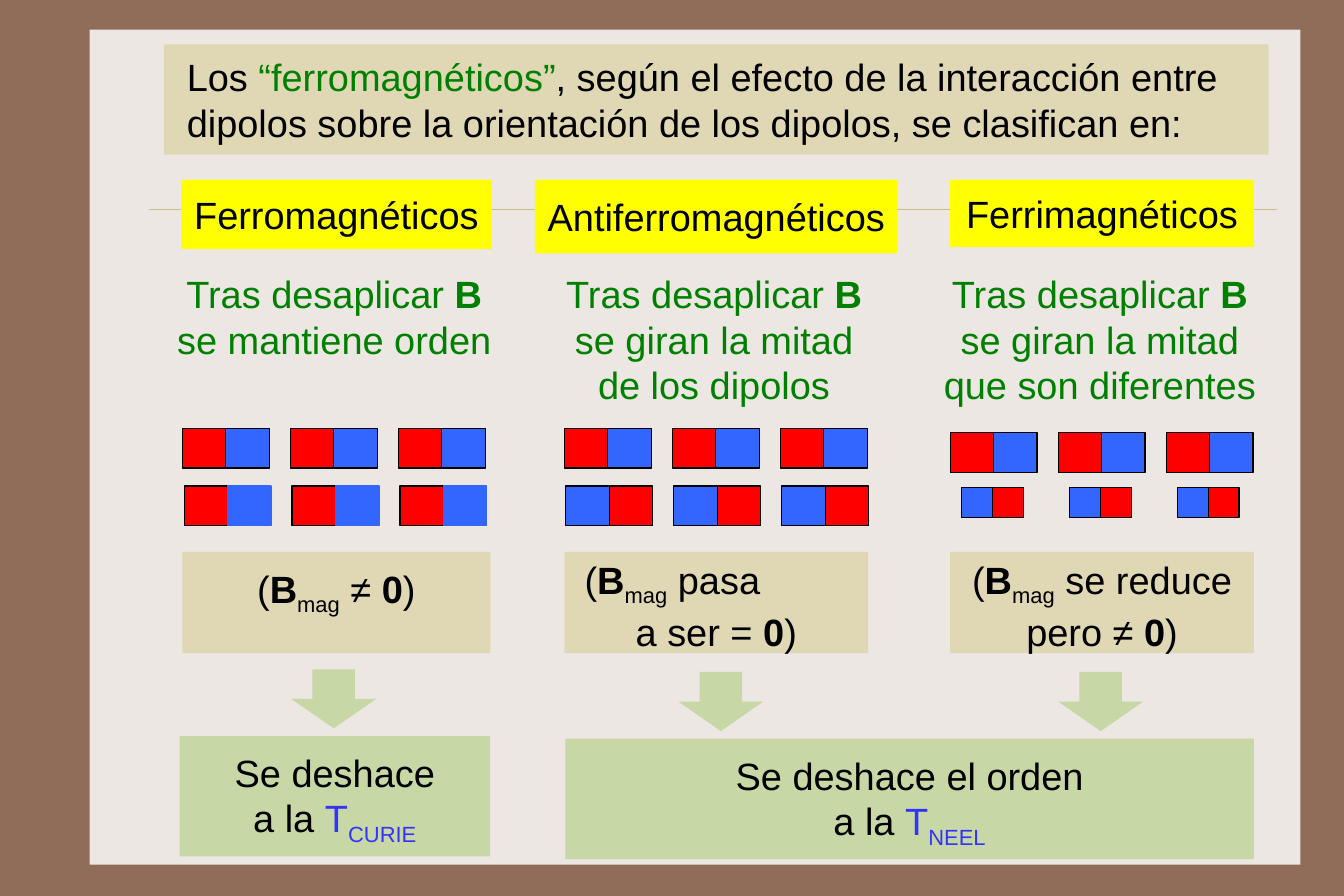
import pptx
import pptx.dml.color
import pptx.enum.shapes
import pptx.enum.text
import pptx.oxml.ns
import pptx.util
from lxml import etree

Cm = pptx.util.Cm
Pt = pptx.util.Pt
SHAPE = pptx.enum.shapes.MSO_SHAPE
ALIGN = pptx.enum.text.PP_ALIGN
ANCHOR = pptx.enum.text.MSO_ANCHOR

BROWN, PAPER, RULE = "906D58", "EDE7E3", "CBBD83"
SAND, LEAF, YELLOW = "E0D7B5", "C7D7A5", "FFFF00"
BLACK, GREEN, INDIGO = "000000", "008000", "3333FF"
RED, BLUE = "FF0000", "3366FF"

MAGNET_PITCH = 2.41


def color(hex_code):
    return pptx.dml.color.RGBColor.from_string(hex_code)


def paint(part, fill):
    part.fill.solid()
    part.fill.fore_color.rgb = color(fill)


def block(slide, box, fill, kind=SHAPE.RECTANGLE, outline=None):
    part = slide.shapes.add_shape(kind, *map(Cm, box))
    part.shadow.inherit = False
    paint(part, fill)
    if outline:
        part.line.color.rgb = color(outline)
        part.line.width = Pt(0.75)
    else:
        part.line.fill.background()
    return part


def write(part, lines, ink=BLACK, align=ALIGN.CENTER, anchor=ANCHOR.TOP,
          inset=(0.25, 0.3), wrap=True):
    frame = part.text_frame
    frame.auto_size = pptx.enum.text.MSO_AUTO_SIZE.NONE
    frame.word_wrap = wrap
    frame.vertical_anchor = anchor
    frame.margin_left = frame.margin_right = Cm(inset[0])
    frame.margin_top = frame.margin_bottom = Cm(inset[1])
    for index, line in enumerate(lines):
        paragraph = frame.add_paragraph() if index else frame.paragraphs[0]
        paragraph.alignment = align
        for text, style in line:
            run = paragraph.add_run()
            run.text = text
            run.font.name = "Arial"
            run.font.size = Pt(24)
            run.font.bold = style.get("bold", False)
            run.font.color.rgb = color(style.get("ink", ink))
            if style.get("sub"):
                run._r.get_or_add_rPr().set("baseline", "-25000")


def plain(text):
    return [(text, {})]


def field(rest, value=()):
    return [("(", {}), ("B", {"bold": True}), ("mag", {"sub": True}), (rest, {}), *value]


def backdrop(slide, box):
    paint(slide.background, BROWN)
    block(slide, box, PAPER)
    left, top, width, _ = box
    rule = slide.shapes.add_connector(
        pptx.enum.shapes.MSO_CONNECTOR.STRAIGHT,
        Cm(left + 1.33), Cm(top + 4.01), Cm(left + width - 0.53), Cm(top + 4.01))
    rule.line.color.rgb = color(RULE)
    rule.line.width = Pt(0.25)
    etree.SubElement(rule._element.spPr, pptx.oxml.ns.qn("a:effectLst"))


def statement(slide, box):
    title = slide.shapes.title
    slide.shapes._spTree.append(title._element)
    title.left, title.top, title.width, title.height = map(Cm, box)
    paint(title, SAND)
    write(title, [[
        ("Los ", {}),
        ("“ferromagnéticos”", {"ink": GREEN}),
        (", según el efecto de la interacción entre dipolos sobre la "
         "orientación de los dipolos, se clasifican en:", {}),
    ]], align=ALIGN.LEFT, anchor=ANCHOR.MIDDLE, inset=(0.51, 0.2))


def magnets(slide, box, poles, outlines=(BLACK, BLACK)):
    left, top, pole_width, height = box
    for magnet in range(3):
        for side, (pole, outline) in enumerate(zip(poles, outlines)):
            x = left + magnet * MAGNET_PITCH + side * pole_width
            block(slide, (x, top, pole_width, height), pole, outline=outline)


def material(slide, box, name, name_size, behaviour, result, result_inset,
             magnet_drop, lower):
    left, top, width, _ = box
    name_width, name_height = name_size
    heading = block(slide, (left + (width - name_width) / 2, top, name_width, name_height), YELLOW)
    write(heading, [plain(name)], anchor=ANCHOR.MIDDLE, inset=(0.25, 0.23), wrap=False)

    explanation = slide.shapes.add_textbox(
        Cm(left - 0.98), Cm(top + 1.81), Cm(width + 1.86), Cm(3.5))
    opening = [("Tras desaplicar ", {}), ("B", {"bold": True})]
    write(explanation, [opening, *map(plain, behaviour)], ink=GREEN, inset=(0.25, 0.23))

    magnets(slide, (left, top + magnet_drop, 0.97, 0.89), (RED, BLUE))
    shift, lower_top, pole_width, height, poles, outlines = lower
    magnets(slide, (left + shift, top + lower_top, pole_width, height), poles, outlines)

    conclusion = block(slide, (left, top + 8.31, width, 2.26), SAND)
    write(conclusion, result, inset=(0.25, result_inset))
    return conclusion


def outcome(slide, box, arrow_offsets, first_line, subscript):
    left, top, width, height = box
    for offset in arrow_offsets:
        block(slide, (left + offset, top, 1.9, 1.32), LEAF, SHAPE.DOWN_ARROW)
    temperature = block(slide, (left, top + 1.49, width, height - 1.49), LEAF)
    write(temperature, [
        plain(first_line),
        [("a la ", {}), ("T", {"ink": INDIGO}), (subscript, {"ink": INDIGO, "sub": True})],
    ])


def main():
    deck = pptx.Presentation()
    deck.slide_width, deck.slide_height = Cm(30), Cm(20)
    slide = deck.slides.add_slide(deck.slide_layouts[5])
    zero = [("0", {"bold": True}), (")", {})]

    backdrop(slide, (2, 0.66, 27.03, 18.64))
    statement(slide, (3.66, 0.99, 24.66, 2.46))

    material(slide, (4.07, 4.01, 6.88, 10.57), "Ferromagnéticos", (6.93, 1.55),
             ["se mantiene orden"], [field(" ≠ ", zero)], 0.3, 5.55,
             (0.04, 6.84, 0.97, 0.89, (RED, BLUE), (BLACK, BLUE)))
    cancelled = material(
        slide, (12.6, 4.01, 6.78, 10.57), "Antiferromagnéticos", (8.1, 1.65),
        ["se giran la mitad", "de los dipolos"],
        [field(" pasa"), [("a ser = ", {}), *zero]], 0.1, 5.55,
        (0.03, 6.84, 0.97, 0.89, (BLUE, RED), (BLACK, BLACK)))
    first_line = cancelled.text_frame.paragraphs[0]
    first_line.alignment = ALIGN.LEFT
    first_line._p.get_or_add_pPr().set("marL", str(Cm(0.2)))
    material(slide, (21.21, 4.01, 6.78, 10.57), "Ferrimagnéticos", (6.78, 1.5),
             ["se giran la mitad", "que son diferentes"],
             [field(" se reduce"), [("pero ≠ ", {}), *zero]], 0.1, 5.64,
             (0.25, 6.88, 0.69, 0.66, (BLUE, RED), (BLACK, BLACK)))

    outcome(slide, (4.01, 14.94, 6.93, 4.18), [2.49], "Se deshace", "CURIE")
    outcome(slide, (12.62, 15, 15.37, 4.18), [2.52, 11], "Se deshace el orden", "NEEL")
    deck.save("out.pptx")


if __name__ == "__main__":
    main()
